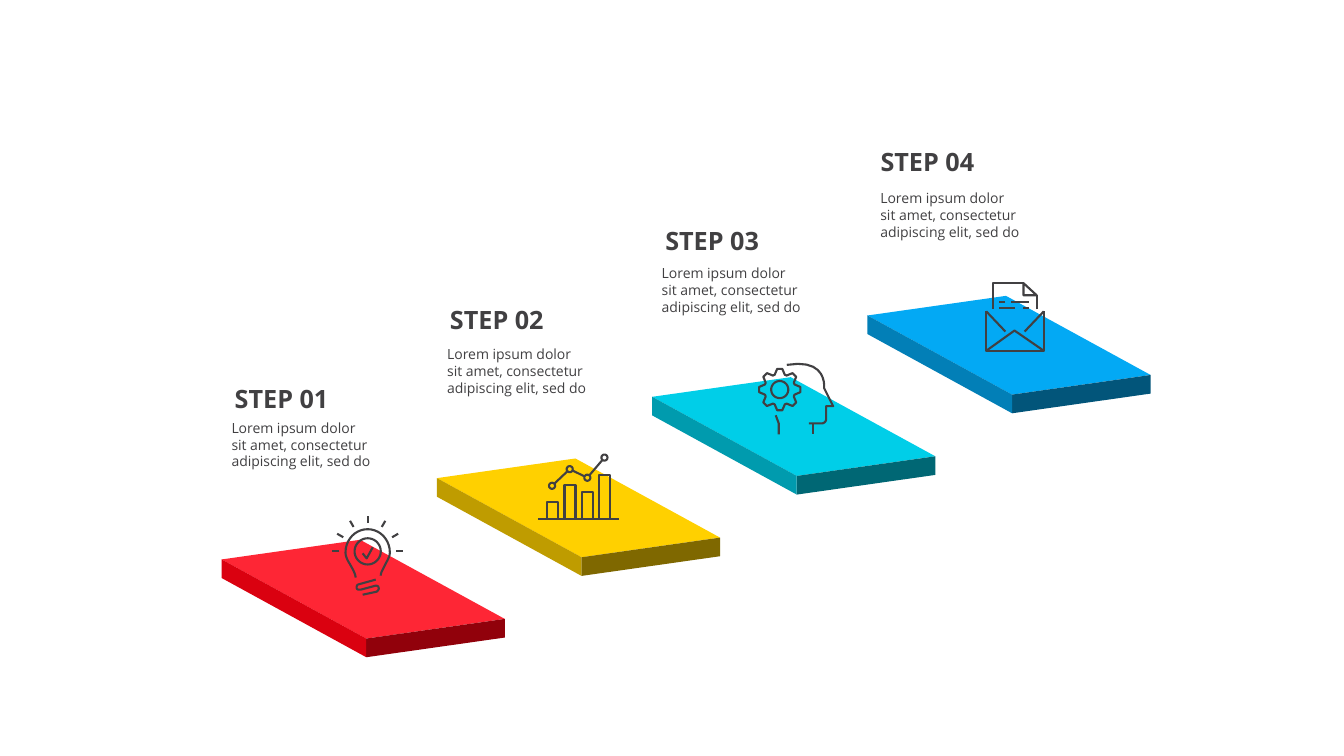
from dataclasses import dataclass
from itertools import pairwise
from math import cos, hypot, radians, sin
from typing import NamedTuple

from pptx import Presentation
from pptx.dml.color import RGBColor
from pptx.enum.text import MSO_AUTO_SIZE
from pptx.shapes.autoshape import Shape
from pptx.shapes.shapetree import SlideShapes
from pptx.text.text import TextFrame
from pptx.util import Inches, Pt

# The slide is a grid of 1334 columns by 750 rows.
COLUMNS, ROWS = 1334, 750
CELL = Inches(0.01)
STEP_COLUMNS, STEP_ROWS = 213.67, -80.67
HEADING_ROWS = -78.33

FONT = "Open Sans"
INK = RGBColor(0x41, 0x40, 0x42)
RED, RED_FRONT, RED_SIDE = (
    RGBColor(0xFE, 0x26, 0x35), RGBColor(0x91, 0x01, 0x0B), RGBColor(0xDA, 0x01, 0x10))
YELLOW, YELLOW_FRONT, YELLOW_SIDE = (
    RGBColor(0xFF, 0xD0, 0x00), RGBColor(0x7F, 0x68, 0x00), RGBColor(0xBF, 0x9C, 0x00))
TEAL, TEAL_FRONT, TEAL_SIDE = (
    RGBColor(0x00, 0xCE, 0xE8), RGBColor(0x00, 0x67, 0x74), RGBColor(0x00, 0x9B, 0xAE))
BLUE, BLUE_FRONT, BLUE_SIDE = (
    RGBColor(0x03, 0xA9, 0xF4), RGBColor(0x02, 0x55, 0x7A), RGBColor(0x02, 0x7F, 0xB7))
BODY = "Lorem ipsum dolor sit amet, consectetur adipiscing elit, sed do"


class Point(NamedTuple):
    column: float
    row: float


class Stroke(NamedTuple):
    points: list[Point]
    closed: bool = False


@dataclass(frozen=True)
class Step:
    heading: str
    body_at: Point
    top: RGBColor
    front: RGBColor
    side: RGBColor
    icon: list[Stroke]


def line(*points: tuple[float, float]) -> Stroke:
    return Stroke([Point(*point) for point in points])


def polygon(*points: tuple[float, float]) -> Stroke:
    return Stroke([Point(*point) for point in points], closed=True)


def polar(center: Point, radius: float, degrees: float) -> Point:
    angle = radians(degrees)
    return Point(center.column + radius * cos(angle), center.row + radius * sin(angle))


def ring(center: Point, radius: float) -> Stroke:
    return polygon(*(polar(center, radius, angle) for angle in range(0, 360, 10)))


def curve(*knots: tuple[float, float]) -> list[Point]:
    """Sample a chain of cubic Béziers: a start, then three knots for each piece."""
    samples = [Point(*knots[0])]
    for first in range(0, len(knots) - 1, 3):
        piece = knots[first:first + 4]
        for share in (i / 10 for i in range(1, 11)):
            rest = 1 - share
            weights = (rest ** 3, 3 * rest ** 2 * share, 3 * rest * share ** 2, share ** 3)
            samples.append(Point(
                sum(w * column for w, (column, _) in zip(weights, piece)),
                sum(w * row for w, (_, row) in zip(weights, piece))))
    return samples


def bulb_icon() -> list[Stroke]:
    center = Point(365, 547)
    glass = curve(
        (353, 573), (353, 570), (351, 566), (347, 559), (345, 556), (343, 552), (343, 548),
        (343, 535), (353, 525), (365, 525), (377, 525), (387, 535), (387, 548),
        (387, 552), (385, 555), (383, 559), (380, 565), (378, 568), (378, 571))
    rays = [line(polar(center, 28, angle), polar(center, 35, angle))
            for angle in range(180, 361, 30)]
    thread = line(
        (373, 575), *curve((355, 580), (355, 580), (354, 581), (354, 583),
                           (354, 584), (355, 585), (356, 585)),
        (358, 585), *curve((373, 581), (375, 581), (376, 582), (376, 584),
                           (376, 585), (375, 586), (374, 587)), (360, 590))
    check = line((360, 549), (364, 554), (370, 543))
    return [Stroke(glass), ring(center, 13), check, *rays, thread]


def chart_icon() -> list[Stroke]:
    base, bar_width, bar_pitch, marker = 515, 11, 17.3, 3
    bars = []
    for index, top in enumerate((498, 481, 488, 471)):
        left = 543 + index * bar_pitch
        right = left + bar_width
        bars.append(polygon((left, top), (left, base), (right, base), (right, top)))
    values = [Point(548, 482), Point(565.5, 465.5), Point(583, 474), Point(600, 454)]
    links = []
    for start, end in pairwise(values):
        across, down = end.column - start.column, end.row - start.row
        trim = marker / hypot(across, down)
        links.append(line((start.column + across * trim, start.row + down * trim),
                          (end.column - across * trim, end.row - down * trim)))
    return [line((534, base), (614, base)), *bars, *(ring(v, marker) for v in values), *links]


def head_icon() -> list[Stroke]:
    hub = Point(774, 386.5)
    tooth = ((15.5, -19), (20.7, -7), (20.7, 7), (15.5, 19))
    gear = polygon(*(polar(hub, radius, turn + angle)
                     for turn in range(0, 360, 45) for radius, angle in tooth))
    face = line(*curve((781, 362), (822, 355), (818, 385), (818, 385)),
                (827, 403), (820, 403),
                *curve((820, 416), (820, 418), (818, 420), (816, 420)), (803, 420))
    return [face, line((807, 420), (807, 431)), line((773, 431), (773, 420), (770, 412)),
            gear, ring(hub, 8.5)]


def envelope_icon() -> list[Stroke]:
    left, right, top, bottom = 979, 1036, 309, 348
    return [
        line((right, top), (right, bottom), (left, bottom), (left, top)),
        line((right, bottom), (1007, 328), (left, bottom)),
        line((right, top), (1017, 329)), line((left, top), (998, 329)),
        line((1029, 307), (1029, 293)), line((1016, 281), (986, 281), (986, 307)),
        polygon((1029, 293), (1016, 281), (1016, 293)),
        line((998, 300), (992, 300)), line((1021, 300), (1004, 300)),
        line((992, 306), (1008, 306)), line((1021, 306), (1015, 306)),
    ]


def draw_strokes(shapes: SlideShapes, strokes: list[Stroke]) -> Shape:
    """Draw all strokes as one outline without shadow."""
    contours = [([(round(p.column * CELL), round(p.row * CELL)) for p in stroke.points],
                 stroke.closed) for stroke in strokes]
    builder = shapes.build_freeform(*contours[0][0][0])
    for index, (points, closed) in enumerate(contours):
        if index:
            builder.move_to(*points[0])
        builder.add_line_segments(points[1:], close=closed)
    outline = builder.convert_to_shape()
    outline.shadow.inherit = False
    return outline


def draw_slab(shapes: SlideShapes, step: Step, corner: Point) -> None:
    depth = 18.5
    left, back, right, near = (Point(corner.column + across, corner.row + down) for across, down
                               in ((0, 0), (137.5, -19.5), (281, 59), (143.5, 78.5)))
    left_low, right_low, near_low = (Point(p.column, p.row + depth) for p in (left, right, near))
    for face, color in ((polygon(near, left, back, right), step.top),
                        (polygon(right, right_low, near_low, near), step.front),
                        (polygon(near_low, left_low, left, near), step.side)):
        side = draw_strokes(shapes, [face])
        side.fill.solid()
        side.fill.fore_color.rgb = color
        side.line.fill.background()


def draw_icon(shapes: SlideShapes, strokes: list[Stroke]) -> None:
    icon = draw_strokes(shapes, strokes)
    icon.fill.background()
    icon.line.color.rgb = INK
    icon.line.width = Pt(1.5)


def add_text(shapes: SlideShapes, wording: str, at: Point, columns: int, rows: int,
             size: int, bold: bool = False) -> TextFrame:
    frame = shapes.add_textbox(round(at.column * CELL), round(at.row * CELL),
                               columns * CELL, rows * CELL).text_frame
    frame.auto_size = MSO_AUTO_SIZE.SHAPE_TO_FIT_TEXT
    paragraph = frame.paragraphs[0]
    paragraph.text = wording
    font = paragraph.font
    font.name, font.size, font.bold = FONT, Pt(size), bold
    font.color.rgb = INK
    return frame


def main() -> None:
    steps = [
        Step("STEP 01", Point(220, 411), RED, RED_FRONT, RED_SIDE, bulb_icon()),
        Step("STEP 02", Point(434, 338), YELLOW, YELLOW_FRONT, YELLOW_SIDE, chart_icon()),
        Step("STEP 03", Point(647, 258), TEAL, TEAL_FRONT, TEAL_SIDE, head_icon()),
        Step("STEP 04", Point(864, 183), BLUE, BLUE_FRONT, BLUE_SIDE, envelope_icon()),
    ]
    deck = Presentation()
    deck.slide_width, deck.slide_height = COLUMNS * CELL, ROWS * CELL
    shapes = deck.slides.add_slide(deck.slide_layouts[6]).shapes
    for index, step in enumerate(steps):
        draw_slab(shapes, step, Point(220 + index * STEP_COLUMNS, 555 + index * STEP_ROWS))
        draw_icon(shapes, step.icon)
        heading_at = Point(233 + index * STEP_COLUMNS, 380 + index * HEADING_ROWS)
        heading = add_text(shapes, step.heading, heading_at, 93, 30, 18, bold=True)
        heading.word_wrap = False
        heading.margin_left = heading.margin_right = 0
        heading.margin_top = heading.margin_bottom = 0
        add_text(shapes, BODY, step.body_at, 160, 60, 10).word_wrap = True
    deck.save("out.pptx")


if __name__ == "__main__":
    main()
